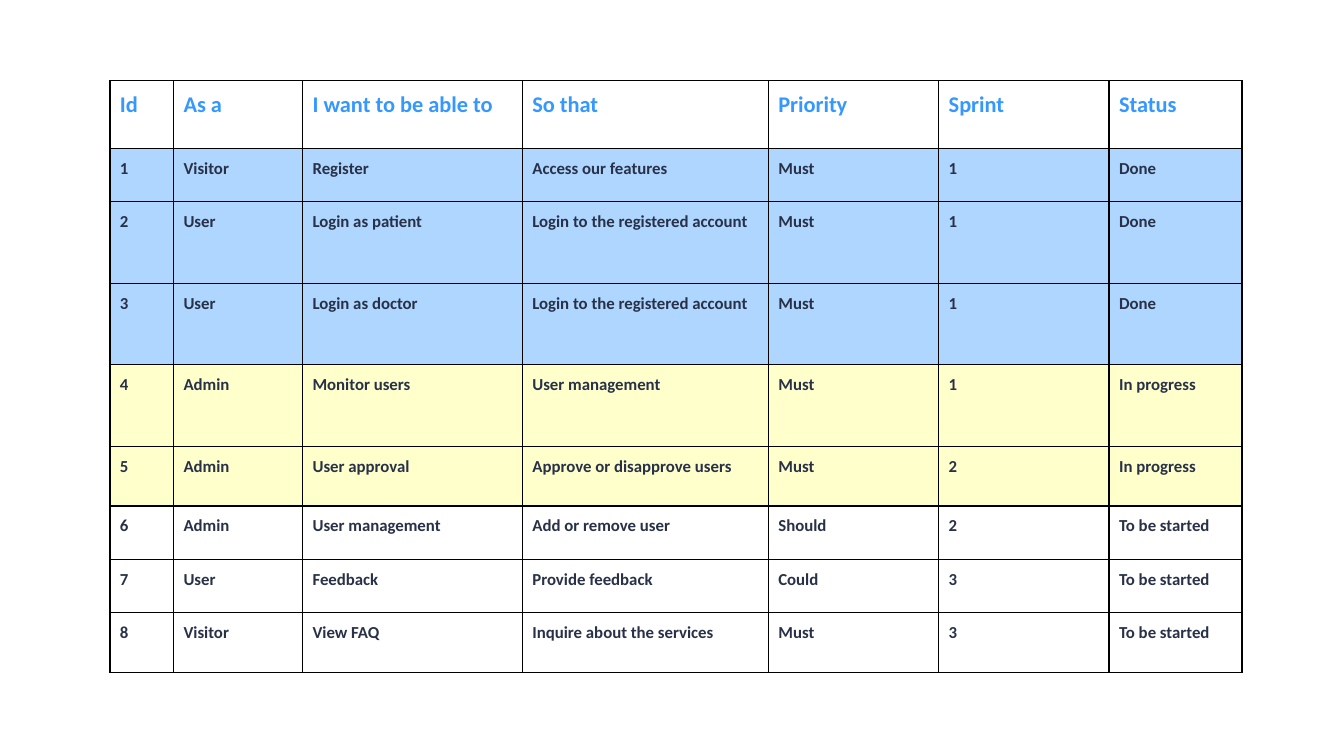
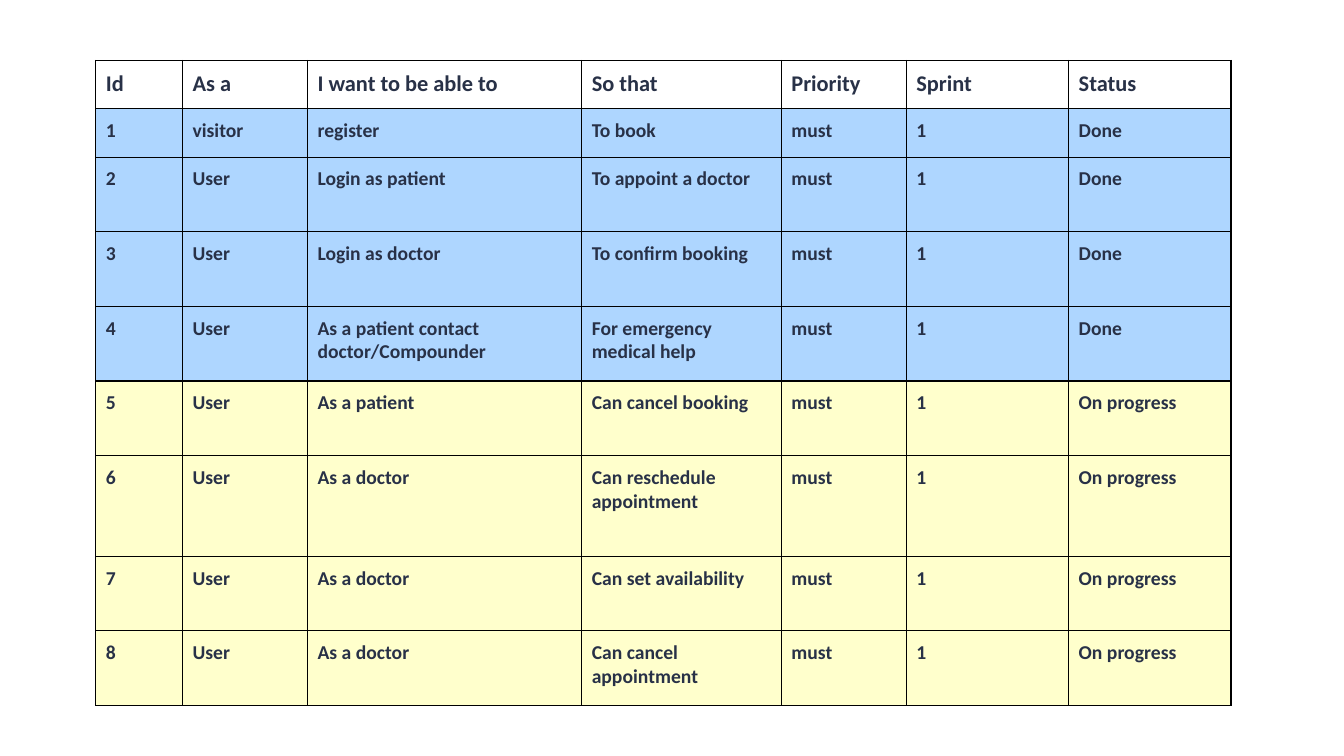
from dataclasses import dataclass

from lxml.etree import SubElement
from pptx import Presentation
from pptx.dml.color import RGBColor
from pptx.oxml.ns import qn
from pptx.presentation import Presentation as Deck
from pptx.table import _Cell
from pptx.util import Inches, Pt


@dataclass(frozen=True)
class Theme:
    font: str = "Calibri"
    ink: str = "283147"
    accent: str = "3598FE"
    border: str = "000000"
    done: str = "AED6FF"
    in_progress: str = "FFFFCC"
    plain: str = "FFFFFF"
    header_size: int = 16
    small_size: int = 12
    body_size: int = 14
    border_width: int = 1
    margin: float = 0.1


THEME = Theme()
HEADERS = ("Id", "As a", "I want to be able to", "So that", "Priority", "Sprint", "Status")
STATUS_FILLS = {
    "Done": THEME.done,
    "In progress": THEME.in_progress,
    "On progress": THEME.in_progress,
}


@dataclass(frozen=True)
class Story:
    role: str
    goal: str
    reason: str
    priority: str
    sprint: int
    status: str


@dataclass(frozen=True)
class Backlog:
    left: float
    top: float
    col_widths: tuple[float, ...]
    row_heights: tuple[float, ...]
    header_color: str
    body_size: int
    stories: tuple[Story, ...]


BACKLOGS = (
    Backlog(
        left=1.09,
        top=0.8,
        col_widths=(0.63, 1.28, 2.18, 2.44, 1.69, 1.69, 1.32),
        row_heights=(0.67, 0.53, 0.81, 0.81, 0.81, 0.59, 0.53, 0.53, 0.59),
        header_color=THEME.accent,
        body_size=THEME.small_size,
        stories=(
            Story("Visitor", "Register", "Access our features", "Must", 1, "Done"),
            Story("User", "Login as patient", "Login to the registered account", "Must", 1, "Done"),
            Story("User", "Login as doctor", "Login to the registered account", "Must", 1, "Done"),
            Story("Admin", "Monitor users", "User management", "Must", 1, "In progress"),
            Story("Admin", "User approval", "Approve or disapprove users", "Must", 2, "In progress"),
            Story("Admin", "User management", "Add or remove user", "Should", 2, "To be started"),
            Story("User", "Feedback", "Provide feedback", "Could", 3, "To be started"),
            Story("Visitor", "View FAQ", "Inquire about the services", "Must", 3, "To be started"),
        ),
    ),
    Backlog(
        left=0.95,
        top=0.6,
        col_widths=(0.86, 1.24, 2.72, 1.98, 1.24, 1.61, 1.61),
        row_heights=(0.48, 0.48, 0.74, 0.74, 0.74, 0.74, 1, 0.74, 0.74),
        header_color=THEME.ink,
        body_size=THEME.body_size,
        stories=(
            Story("visitor", "register", "To book", "must", 1, "Done"),
            Story("User", "Login as patient", "To appoint a doctor", "must", 1, "Done"),
            Story("User", "Login as doctor", "To confirm booking", "must", 1, "Done"),
            Story("User", "As a patient contact doctor/Compounder",
                  "For emergency medical help", "must", 1, "Done"),
            Story("User", "As a patient", "Can cancel booking", "must", 1, "On progress"),
            Story("User", "As a doctor", "Can reschedule\nappointment", "must", 1, "On progress"),
            Story("User", "As a doctor", "Can set availability", "must", 1, "On progress"),
            Story("User", "As a doctor", "Can cancel appointment", "must", 1, "On progress"),
        ),
    ),
)


def add_borders(cell: _Cell) -> None:
    tc_pr = cell._tc.get_or_add_tcPr()
    for side in ("a:lnL", "a:lnR", "a:lnT", "a:lnB"):
        line = SubElement(tc_pr, qn(side), w=str(Pt(THEME.border_width)))
        fill = SubElement(line, qn("a:solidFill"))
        SubElement(fill, qn("a:srgbClr"), val=THEME.border)


def fill_cell(cell: _Cell, text: str, size: int, color: str, fill: str) -> None:
    """Write bold text in a bordered, filled cell."""
    margin = Inches(THEME.margin)
    cell.margin_left = cell.margin_right = margin
    cell.margin_top = cell.margin_bottom = margin
    add_borders(cell)
    cell.fill.solid()
    cell.fill.fore_color.rgb = RGBColor.from_string(fill)
    tf = cell.text_frame
    tf.text = text
    for p in tf.paragraphs:
        for r in p.runs:
            r.font.name = THEME.font
            r.font.size = Pt(size)
            r.font.bold = True
            r.font.color.rgb = RGBColor.from_string(color)


def add_backlog_slide(prs: Deck, backlog: Backlog) -> None:
    s = prs.slides.add_slide(prs.slide_layouts[6])
    widths, heights = backlog.col_widths, backlog.row_heights
    table = s.shapes.add_table(
        len(heights), len(widths), Inches(backlog.left), Inches(backlog.top),
        Inches(sum(widths)), Inches(sum(heights)),
    ).table
    table.first_row = table.horz_banding = False
    for column, width in zip(table.columns, widths):
        column.width = Inches(width)
    for row, height in zip(table.rows, heights):
        row.height = Inches(height)

    for col, header in enumerate(HEADERS):
        fill_cell(table.cell(0, col), header, THEME.header_size, backlog.header_color, THEME.plain)
    for number, story in enumerate(backlog.stories, start=1):
        fill = STATUS_FILLS.get(story.status, THEME.plain)
        values = (number, story.role, story.goal, story.reason,
                  story.priority, story.sprint, story.status)
        for col, value in enumerate(values):
            fill_cell(table.cell(number, col), str(value), backlog.body_size, THEME.ink, fill)


def main() -> None:
    prs = Presentation()
    prs.slide_width, prs.slide_height = Inches(13.33), Inches(7.5)
    for backlog in BACKLOGS:
        add_backlog_slide(prs, backlog)
    prs.save("out.pptx")


if __name__ == "__main__":
    main()
